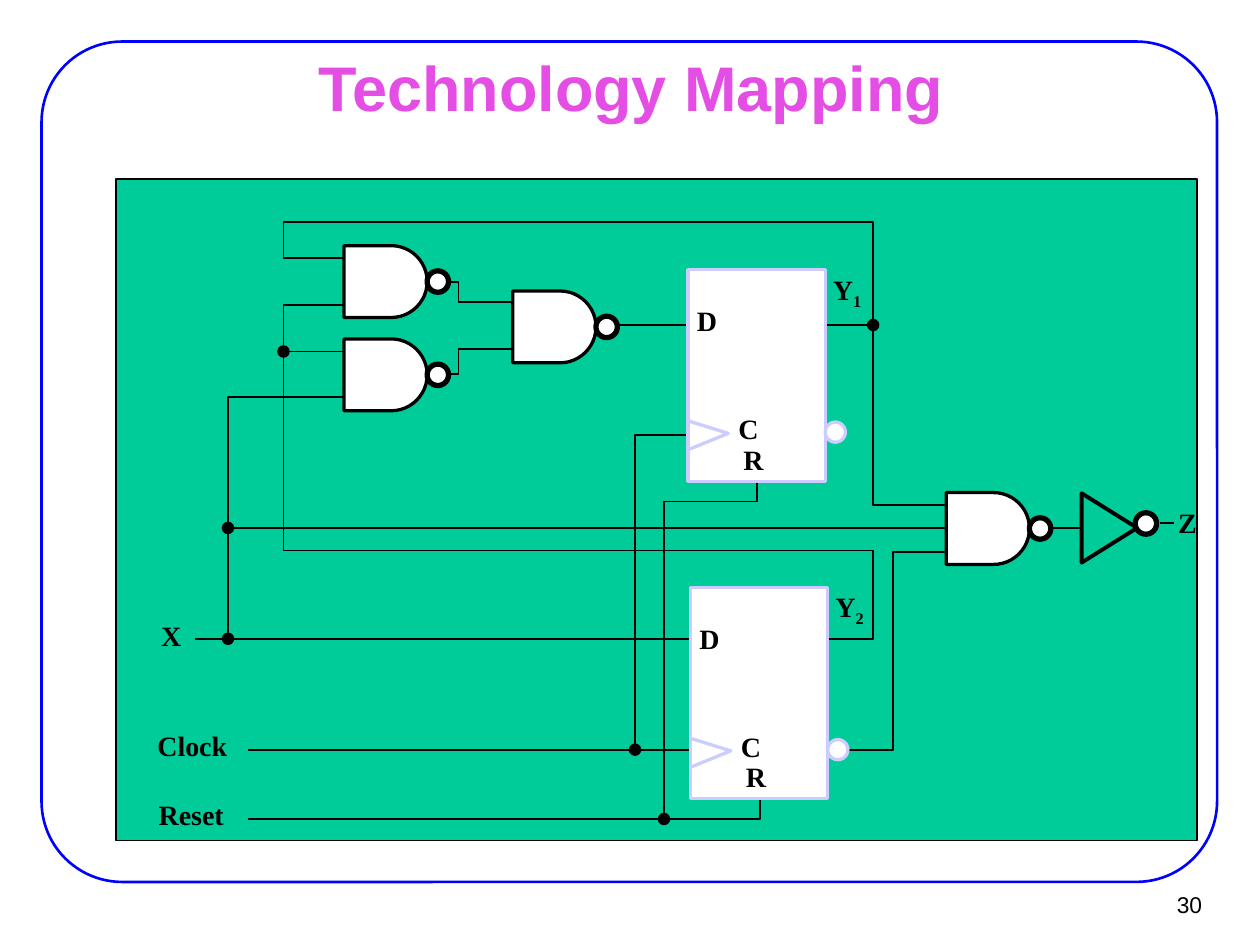
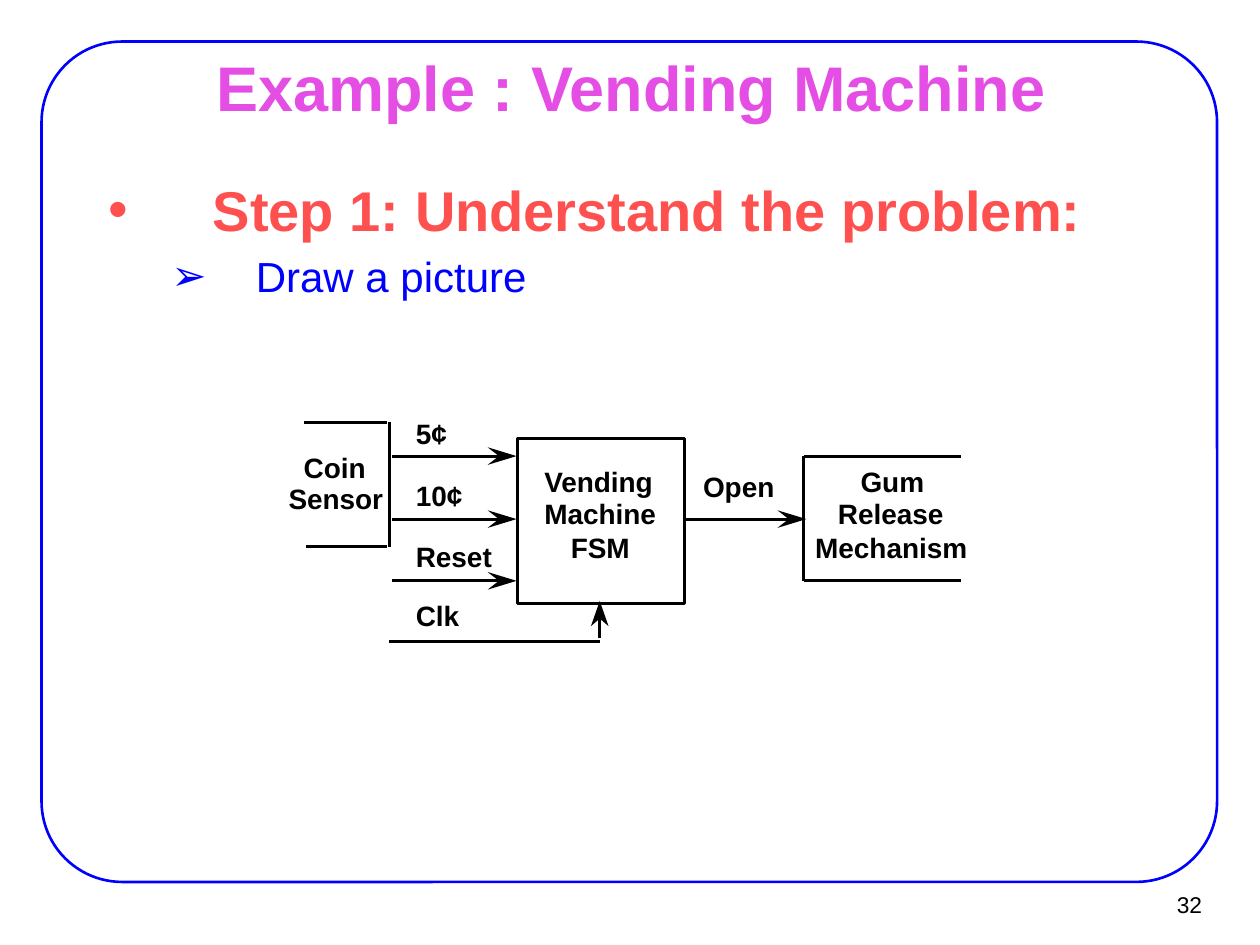
"""Build two digital-design slides: a mapped circuit and a vending machine."""
from dataclasses import dataclass

from lxml import etree
from pptx import Presentation
from pptx.dml.color import RGBColor
from pptx.enum.shapes import MSO_CONNECTOR, MSO_SHAPE
from pptx.enum.text import MSO_ANCHOR, MSO_AUTO_SIZE, PP_ALIGN
from pptx.oxml.ns import qn
from pptx.util import Inches, Pt

STRAIGHT = MSO_CONNECTOR.STRAIGHT
RECTANGLE = MSO_SHAPE.RECTANGLE
ROUNDED = MSO_SHAPE.ROUNDED_RECTANGLE
ELLIPSE = MSO_SHAPE.OVAL
TRIANGLE = MSO_SHAPE.ISOSCELES_TRIANGLE
HALF_ROUND = MSO_SHAPE.ROUND_2_SAME_RECTANGLE
MIDDLE = MSO_ANCHOR.MIDDLE
FIXED_SIZE = MSO_AUTO_SIZE.NONE
CENTER, RIGHT = PP_ALIGN.CENTER, PP_ALIGN.RIGHT
TITLE_AND_BODY, TITLE_ONLY = 1, 5

COLORS = {
    "black": "000000",
    "white": "FFFFFF",
    "blue": "0000FF",
    "title": "E44EE4",
    "step": "FF5050",
    "board": "00CC99",
    "flip_flop": "CCCCFF",
}
SANS, SERIF = "Arial", "Times New Roman"
GATE_LINE, BUBBLE_LINE, BLOCK_LINE = 1.88, 3, 1.63
LABEL_ROOM = 0.15

Point = tuple[float, float]


@dataclass
class Label:
    """A short line of text with an optional subscript."""
    text: str
    left: float
    top: float
    width: float
    subscript: str = ""


@dataclass
class FlipFlop:
    """A D flip-flop placed by its top left corner."""
    left: float
    top: float
    index: str


@dataclass
class Bullet:
    """One body paragraph with its marker and indents."""
    text: str
    level: int
    marker: str
    margin: float
    hanging: float
    size: int
    color: str
    bold: bool


WIRES: list[list[Point]] = [
    [(3.07, 2.05), (2.25, 2.05), (2.25, 1.76), (6.93, 1.76), (6.93, 4.01), (7.8, 4.01)],
    [(3.07, 2.42), (2.25, 2.42), (2.25, 4.37), (6.93, 4.37), (6.93, 5.07), (1.55, 5.07)],
    [(7.69, 4.38), (7.09, 4.38), (7.09, 5.95), (1.97, 5.95)],
    [(6.03, 5.68), (6.03, 6.5), (1.97, 6.5)],
    [(2.89, 3.15), (1.81, 3.15), (1.81, 5.07)],
    [(2.91, 2.24), (3.64, 2.24), (3.64, 2.4), (4.08, 2.4)],
    [(2.91, 2.97), (3.64, 2.97), (3.64, 2.77), (4.08, 2.77)],
    [(6.07, 3.45), (5.04, 3.45), (5.04, 5.95)],
    [(5.27, 6.5), (5.27, 3.98), (6.01, 3.98), (6.01, 3.53)],
]
STRAIGHT_WIRES: list[tuple[Point, Point]] = [
    ((1.81, 4.19), (8.58, 4.19)),
    ((2.25, 2.79), (2.92, 2.79)),
    ((6.93, 2.58), (4.18, 2.58)),
]
JUNCTIONS: list[Point] = [
    (2.25, 2.79), (1.81, 4.19), (1.81, 5.07), (5.04, 5.95), (6.93, 2.58), (5.27, 6.5),
]
NAND_GATES: list[Point] = [(2.73, 1.95), (2.73, 2.69), (4.07, 2.31), (7.51, 3.91)]
FLIP_FLOPS = [FlipFlop(5.46, 2.14, "1"), FlipFlop(5.48, 4.66, "2")]
SIGNALS = [
    Label("X", 1.28, 4.91, 0.15),
    Label("Clock", 1.25, 5.78, 0.61),
    Label("Reset", 1.26, 6.33, 0.61),
    Label("Z", 9.35, 4.01, 0.14),
]
BULLETS = [
    Bullet("Step 1: Understand the problem:", 0, "•", 0.83, 0.83, 32, "step", True),
    Bullet("Draw a picture", 1, "➢", 1.17, 0.67, 24, "blue", False),
]
MACHINE_LABELS = [
    Label("Vending", 4.32, 3.69, 0.94),
    Label("Machine", 4.32, 3.94, 0.95),
    Label("FSM", 4.53, 4.21, 0.47),
    Label("5¢", 3.3, 3.31, 0.25),
    Label("10¢", 3.3, 3.8, 0.37),
    Label("Reset", 3.3, 4.28, 0.6),
    Label("Clk", 3.3, 4.75, 0.35),
    Label("Open", 5.58, 3.73, 0.57),
    Label("Coin", 2.41, 3.58, 0.56),
    Label("Sensor", 2.29, 3.82, 0.75),
    Label("Gum", 6.83, 3.69, 0.57),
    Label("Release", 6.65, 3.94, 0.9),
    Label("Mechanism", 6.47, 4.21, 1.21),
]
BLOCK_EDGES: list[tuple[Point, Point]] = [
    ((2.41, 3.35), (3.07, 3.35)),
    ((3.09, 3.35), (3.09, 4.34)),
    ((3.07, 4.34), (2.43, 4.34)),
    ((6.38, 3.62), (6.38, 4.61)),
    ((6.38, 3.62), (7.63, 3.62)),
    ((6.38, 4.61), (7.63, 4.61)),
    ((3.09, 5.09), (4.76, 5.09)),
]
ARROWS: list[tuple[Point, Point]] = [
    ((3.11, 3.62), (4.1, 3.62)),
    ((3.11, 4.12), (4.1, 4.12)),
    ((3.11, 4.61), (4.1, 4.61)),
    ((5.42, 4.12), (6.4, 4.12)),
    ((4.76, 5.06), (4.76, 4.77)),
]


def rgb(name: str) -> RGBColor:
    """Look up a named colour."""
    return RGBColor.from_string(COLORS[name])


def paint(shape, fill: str | None, line: str | None, width: float) -> None:
    """Set fill and outline, and drop the shadow."""
    shape.shadow.inherit = False
    if fill:
        shape.fill.solid()
        shape.fill.fore_color.rgb = rgb(fill)
    else:
        shape.fill.background()
    if line:
        shape.line.color.rgb = rgb(line)
        shape.line.width = Pt(width)
    else:
        shape.line.fill.background()


def add_figure(page, kind, left: float, top: float, width: float, height: float,
               fill: str | None = None, line: str | None = None, weight: float = 1):
    """Draw a preset shape."""
    shape = page.shapes.add_shape(kind, Inches(left), Inches(top), Inches(width), Inches(height))
    paint(shape, fill, line, weight)
    return shape


def add_path(page, points: list[Point], fill: str | None = None,
             line: str | None = "black", weight: float = 1) -> None:
    """Draw a polyline, closed when it is filled."""
    corners = [(Inches(x), Inches(y)) for x, y in points]
    builder = page.shapes.build_freeform(*corners[0])
    builder.add_line_segments(corners[1:], close=fill is not None)
    paint(builder.convert_to_shape(), fill, line, weight)


def add_line(page, start: Point, end: Point, weight: float = 1) -> None:
    """Draw a straight black line."""
    ends = [Inches(value) for value in (*start, *end)]
    line = page.shapes.add_connector(STRAIGHT, *ends)
    line.line.color.rgb = rgb("black")
    line.line.width = Pt(weight)
    etree.SubElement(line._element.spPr, qn("a:effectLst"))


def style(paragraph, face: str, size: int, color: str, bold: bool) -> None:
    """Set the font of a whole paragraph."""
    font = paragraph.font
    font.name, font.size, font.bold = face, Pt(size), bold
    font.color.rgb = rgb(color)


def set_insets(frame, horizontal: float, vertical: float) -> None:
    """Set the inner margins of a text frame."""
    frame.margin_left = frame.margin_right = Inches(horizontal)
    frame.margin_top = frame.margin_bottom = Inches(vertical)


def add_label(page, label: Label, face: str) -> None:
    """Write a bold label without margins, with room to stay on one line."""
    box = page.shapes.add_textbox(
        Inches(label.left), Inches(label.top), Inches(label.width + LABEL_ROOM), Inches(0.27))
    frame = box.text_frame
    set_insets(frame, 0, 0)
    frame.word_wrap = True
    frame.auto_size = FIXED_SIZE
    para = frame.paragraphs[0]
    para.text = label.text
    style(para, face, 16, "black", True)
    if label.subscript:
        span = para.add_run()
        span.text = label.subscript
        span._r.get_or_add_rPr().set("baseline", "-25000")


def place(shape, left: float, top: float, width: float, height: float) -> None:
    """Move and size a placeholder."""
    shape.left, shape.top = Inches(left), Inches(top)
    shape.width, shape.height = Inches(width), Inches(height)
    set_insets(shape.text_frame, 0.11, 0.06)
    shape.text_frame.auto_size = FIXED_SIZE


def add_page(deck, layout: int, title: str, number: int):
    """Add a slide with the shared frame, title and page number."""
    page = deck.slides.add_slide(deck.slide_layouts[layout])
    frame = add_figure(page, ROUNDED, 0.33, 0.33, 9.33, 6.67, None, "blue", 1.5)
    frame.adjustments[0] = 0.096
    place(page.shapes.title, 0.76, 0.44, 8.5, 0.49)
    page.shapes.title.text_frame.vertical_anchor = MIDDLE
    heading = page.shapes.title.text_frame.paragraphs[0]
    heading.text, heading.alignment = title, CENTER
    style(heading, SANS, 36, "title", True)
    box = page.shapes.add_textbox(Inches(9.02), Inches(6.99), Inches(0.61), Inches(0.37))
    set_insets(box.text_frame, 0.09, 0.04)
    box.text_frame.word_wrap = True
    box.text_frame.vertical_anchor = MIDDLE
    para = box.text_frame.paragraphs[0]
    para.text, para.alignment = str(number), RIGHT
    style(para, SANS, 13, "black", False)
    return page


def add_bubble(page, left: float, top: float) -> None:
    """Draw an inversion bubble."""
    add_figure(page, ELLIPSE, left, top, 0.17, 0.17, "white", "black", BUBBLE_LINE)


def add_nand(page, left: float, top: float) -> None:
    """Draw a NAND gate that faces right."""
    width, height = 0.66, 0.57
    shift = (width - height) / 2
    body = add_figure(page, HALF_ROUND, left + shift, top - shift, height, width,
                      "white", "black", GATE_LINE)
    body.adjustments[0], body.adjustments[1] = 0.5, 0
    body.rotation = 90
    add_bubble(page, left + width, top + 0.2)


def add_flip_flop(page, part: FlipFlop) -> None:
    """Draw a flip-flop with its clock mark, bubble and pin names."""
    left, top = part.left, part.top
    add_figure(page, RECTANGLE, left, top, 1.09, 1.68, "white", "flip_flop", GATE_LINE)
    add_figure(page, ELLIPSE, left + 1.09, top + 1.21, 0.16, 0.16,
               "white", "flip_flop", GATE_LINE)
    mark = [(left, top + 1.2), (left + 0.32, top + 1.3), (left, top + 1.43)]
    add_path(page, mark, None, "flip_flop", GATE_LINE)
    for name, across, down in [("D", 0.07, 0.27), ("C", 0.4, 1.13), ("R", 0.44, 1.37)]:
        add_label(page, Label(name, left + across, top + down, 0.16), SERIF)
    add_label(page, Label("Y", left + 1.15, top + 0.02, 0.23, part.index), SERIF)


def add_arrow(page, start: Point, tip: Point) -> None:
    """Draw a right or upward arrow with a notched head."""
    x, y = tip
    if start[1] == y:
        notch = (x - 0.14, y)
        head = [tip, (x - 0.23, y + 0.07), notch, (x - 0.23, y - 0.07)]
    else:
        notch = (x, y + 0.14)
        head = [tip, (x + 0.07, y + 0.2), notch, (x - 0.07, y + 0.2)]
    add_line(page, start, notch, BLOCK_LINE)
    add_path(page, head, "black", None)


def build_circuit(deck) -> None:
    """Build the technology mapping slide."""
    page = add_page(deck, TITLE_ONLY, "Technology Mapping", 30)
    add_figure(page, RECTANGLE, 0.92, 1.42, 8.58, 5.25, "board", "black", 0.75)
    for wire in WIRES:
        add_path(page, wire)
    for start, end in STRAIGHT_WIRES:
        add_line(page, start, end)
    for part in FLIP_FLOPS:
        add_flip_flop(page, part)
    for left, top in NAND_GATES:
        add_nand(page, left, top)
    for x, y in JUNCTIONS:
        add_figure(page, ELLIPSE, x - 0.05, y - 0.05, 0.1, 0.1, "black")
    inverter = add_figure(page, TRIANGLE, 8.53, 3.97, 0.55, 0.44, None, "black", 2.25)
    inverter.rotation = 90
    add_bubble(page, 9.01, 4.07)
    add_line(page, (9.21, 4.15), (9.32, 4.15), 1.5)
    for label in SIGNALS:
        add_label(page, label, SERIF)


def add_bullets(body) -> None:
    """Fill the body placeholder with its bullets."""
    place(body, 0.75, 1.33, 8.5, 5.08)
    frame = body.text_frame
    for position, bullet in enumerate(BULLETS):
        para = frame.add_paragraph() if position else frame.paragraphs[0]
        para.text, para.level = bullet.text, bullet.level
        properties = para._p.get_or_add_pPr()
        properties.set("marL", str(Inches(bullet.margin)))
        properties.set("indent", str(-Inches(bullet.hanging)))
        etree.SubElement(properties, qn("a:buChar")).set("char", bullet.marker)
        style(para, SANS, bullet.size, bullet.color, bullet.bold)


def build_machine(deck) -> None:
    """Build the vending machine slide."""
    page = add_page(deck, TITLE_AND_BODY, "Example : Vending Machine", 32)
    add_bullets(page.placeholders[1])
    add_figure(page, RECTANGLE, 4.11, 3.48, 1.32, 1.31, "white", "black", BLOCK_LINE)
    for start, end in BLOCK_EDGES:
        add_line(page, start, end, BLOCK_LINE)
    for start, tip in ARROWS:
        add_arrow(page, start, tip)
    for label in MACHINE_LABELS:
        add_label(page, label, SANS)


def main() -> None:
    """Build and save the deck."""
    deck = Presentation()
    deck.slide_width, deck.slide_height = Inches(10), Inches(7.5)
    build_circuit(deck)
    build_machine(deck)
    deck.save("out.pptx")


if __name__ == "__main__":
    main()
